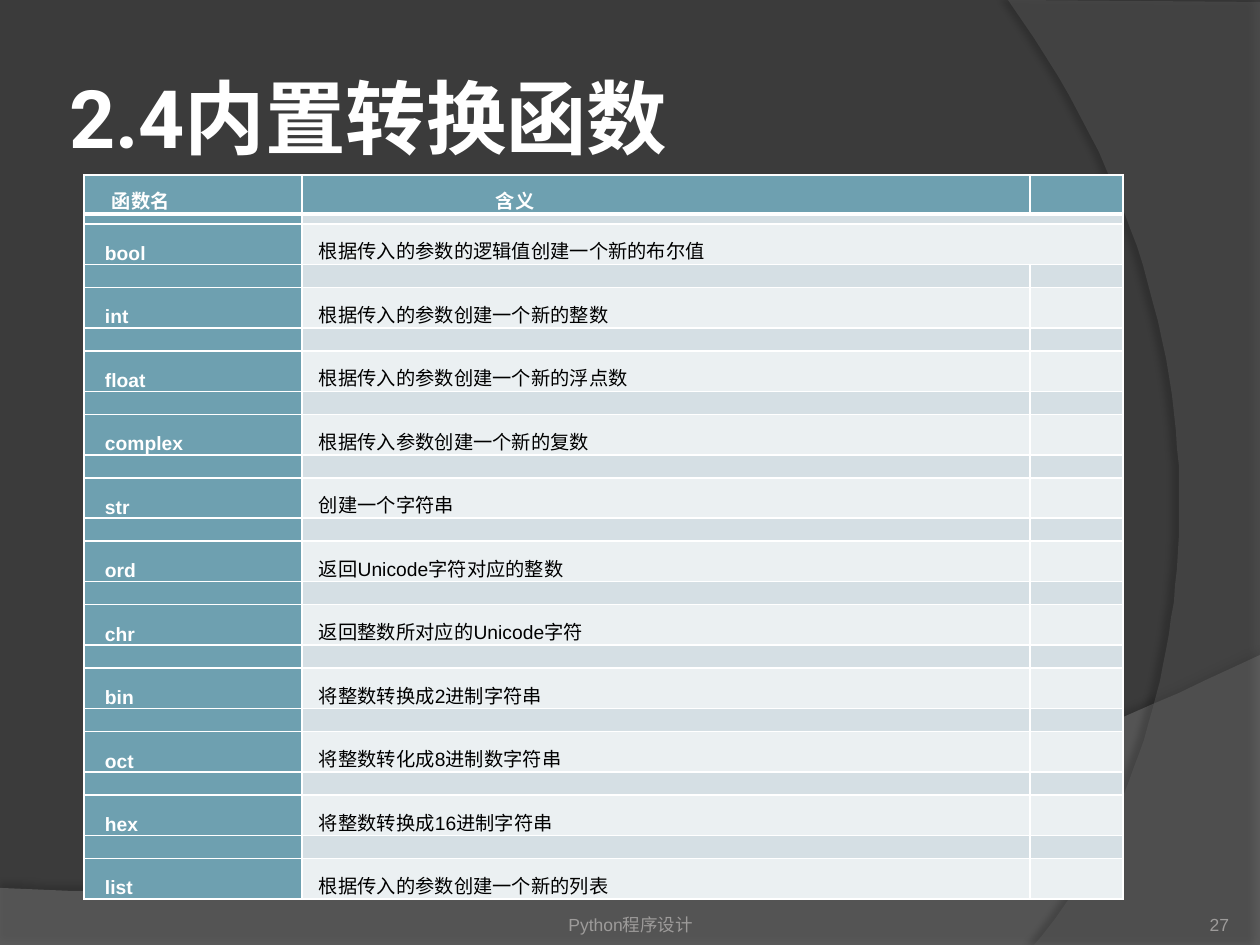
from lxml import etree
from pptx import Presentation, util as u
from pptx.dml.color import RGBColor
from pptx.enum import text
from pptx.oxml import parse_xml
from pptx.oxml.ns import qn

PX = u.Inches(1) / 126
NS = 'xmlns:a="http://schemas.openxmlformats.org/drawingml/2006/main"'
TEAL, PALE, LIGHT, WHITE = "6EA0B0", "D5DFE4", "EBF0F2", "FFFFFF"


def px(length):
    """Turn pixels into EMU."""
    return u.Emu(round(length * PX))


def style(paragraph, size, color, bold=False, font="Arial"):
    """Format every run of a paragraph."""
    for run in paragraph.runs:
        run.font.size = u.Pt(size)
        run.font.name = font
        run.font.bold = bold
        run.font.color.rgb = RGBColor.from_string(color)


prs = Presentation()
prs.slide_width, prs.slide_height = px(1260), px(945)
slide = prs.slides.add_slide(prs.slide_layouts[5])
slide.background.fill.solid()
slide.background.fill.fore_color.rgb = RGBColor.from_string("3B3B3B")

# Backdrop: corners, then one Bezier curve that closes each outline.
# Shadow: opacity in percent, blur and distance in points, direction in degrees.
swooshes = [
    ([(0, 888), (0, 946), (1260, 946), (1260, 655)],
     [(1260, 655), (704, 919), (493, 906), (0, 888)], "7F7F7F", 45, (35, 4, 3.5, 270)),
    ([(1260, 2), (1260, 945), (1034, 945)],
     [(1034, 945), (1178, 780), (1283, 378), (1008, 0)], "5E5E5E", 40, (45, 4, 4, 180)),
]
for corners, curve, color, opacity, (dark, blur, distance, angle) in swooshes:
    outline = list(corners)
    for step in range(1, 61):
        t = step / 60
        weights = ((1 - t) ** 3, 3 * t * (1 - t) ** 2, 3 * t * t * (1 - t), t ** 3)
        outline.append(tuple(sum(w * point[axis] for w, point in zip(weights, curve))
                             for axis in (0, 1)))
    builder = slide.shapes.build_freeform(*outline[0], scale=PX)
    builder.add_line_segments(outline[1:], close=True)
    swoosh = builder.convert_to_shape()
    swoosh.line.fill.background()
    swoosh.fill.solid()
    swoosh.fill.fore_color.rgb = RGBColor.from_string(color)
    tint = swoosh._element.spPr.find(".//" + qn("a:srgbClr"))
    etree.SubElement(tint, qn("a:alpha"), val=str(opacity * 1000))
    swoosh._element.spPr.append(parse_xml(
        f'<a:effectLst {NS}><a:outerShdw blurRad="{u.Pt(blur)}" dist="{u.Pt(distance)}" '
        f'dir="{angle * 60000}" rotWithShape="0"><a:srgbClr val="000000">'
        f'<a:alpha val="{dark * 1000}"/></a:srgbClr></a:outerShdw></a:effectLst>'))

title = slide.shapes.title
slide.shapes._spTree.append(title._element)
title.left, title.top, title.width, title.height = px(63), px(38), px(1029), px(157)
heading = title.text_frame
heading.text = "2.4内置转换函数"
heading.auto_size = text.MSO_AUTO_SIZE.NONE
heading.vertical_anchor = text.MSO_ANCHOR.MIDDLE
heading.margin_left = heading.margin_right = heading.margin_top = heading.margin_bottom = px(6)
heading.paragraphs[0].alignment = text.PP_ALIGN.LEFT
style(heading.paragraphs[0], 46, WHITE, True, "Roboto")

conversions = [
    ("bool", "根据传入的参数的逻辑值创建一个新的布尔值"),
    ("int", "根据传入的参数创建一个新的整数"),
    ("float", "根据传入的参数创建一个新的浮点数"),
    ("complex", "根据传入参数创建一个新的复数"),
    ("str", "创建一个字符串"),
    ("ord", "返回Unicode字符对应的整数"),
    ("chr", "返回整数所对应的Unicode字符"),
    ("bin", "将整数转换成2进制字符串"),
    ("oct", "将整数转化成8进制数字符串"),
    ("hex", "将整数转换成16进制字符串"),
    ("list", "根据传入的参数创建一个新的列表"),
]
rows = [("函数名", "含义", "")]
for conversion in conversions:
    rows += [("", "", ""), (*conversion, "")]
heights = [39, 10] + [40.5, 23] * 10 + [40.5]
widths = [218, 728, 93]

table = slide.shapes.add_table(len(rows), 3, px(84), px(175), px(sum(widths)),
                               px(sum(heights))).table
table.horz_banding = table.first_row = False
for column, width in zip(table.columns, widths):
    column.width = px(width)
for r, (row, height) in enumerate(zip(rows, heights)):
    table.rows[r].height = px(height)
    for c, words in enumerate(row):
        cell = table.cell(r, c)
        strong = r == 0 or c == 0
        cell.fill.solid()
        cell.fill.fore_color.rgb = RGBColor.from_string(
            TEAL if strong else PALE if r % 2 else LIGHT)
        cell.margin_left = cell.margin_right = cell.margin_top = cell.margin_bottom = 0
        cell.vertical_anchor = text.MSO_ANCHOR.BOTTOM
        paragraph = cell.text_frame.paragraphs[0]
        if words:
            paragraph.text = words
            style(paragraph, 11, WHITE if strong else "000000", strong)
            indent = (28, 194)[c] if r == 0 else (21, 17)[c]
            paragraph._p.get_or_add_pPr().set("marL", str(px(indent)))
            if r == 0 or c == 1:
                paragraph.line_spacing = u.Pt(12.6 if r == 0 else 13.2)
        else:
            etree.SubElement(paragraph._p, qn("a:endParaRPr"), sz="200")
        for i, side in enumerate("LRTB"):
            thick = (r, side) in ((0, "B"), (1, "T"))
            cell._tc.tcPr.insert(i, parse_xml(
                f'<a:ln{side} {NS} w="{u.Pt(3 if thick else 1)}"><a:solidFill>'
                f'<a:srgbClr val="{WHITE}"/></a:solidFill></a:ln{side}>'))
for r in (1, 2):
    table.cell(r, 1).merge(table.cell(r, 2))

footers = [("Python程序设计", 431, 399, text.PP_ALIGN.CENTER),
           ("27", 1124, 105, text.PP_ALIGN.RIGHT)]
for words, left, width, alignment in footers:
    footer = slide.shapes.add_textbox(px(left), px(885), px(width), px(50)).text_frame
    footer.word_wrap = True
    footer.margin_left = footer.margin_right = footer.margin_top = footer.margin_bottom = 0
    footer.vertical_anchor = text.MSO_ANCHOR.BOTTOM
    footer.text = words
    footer.paragraphs[0].alignment = alignment
    style(footer.paragraphs[0], 10, "9D9B9A")

prs.save("out.pptx")
